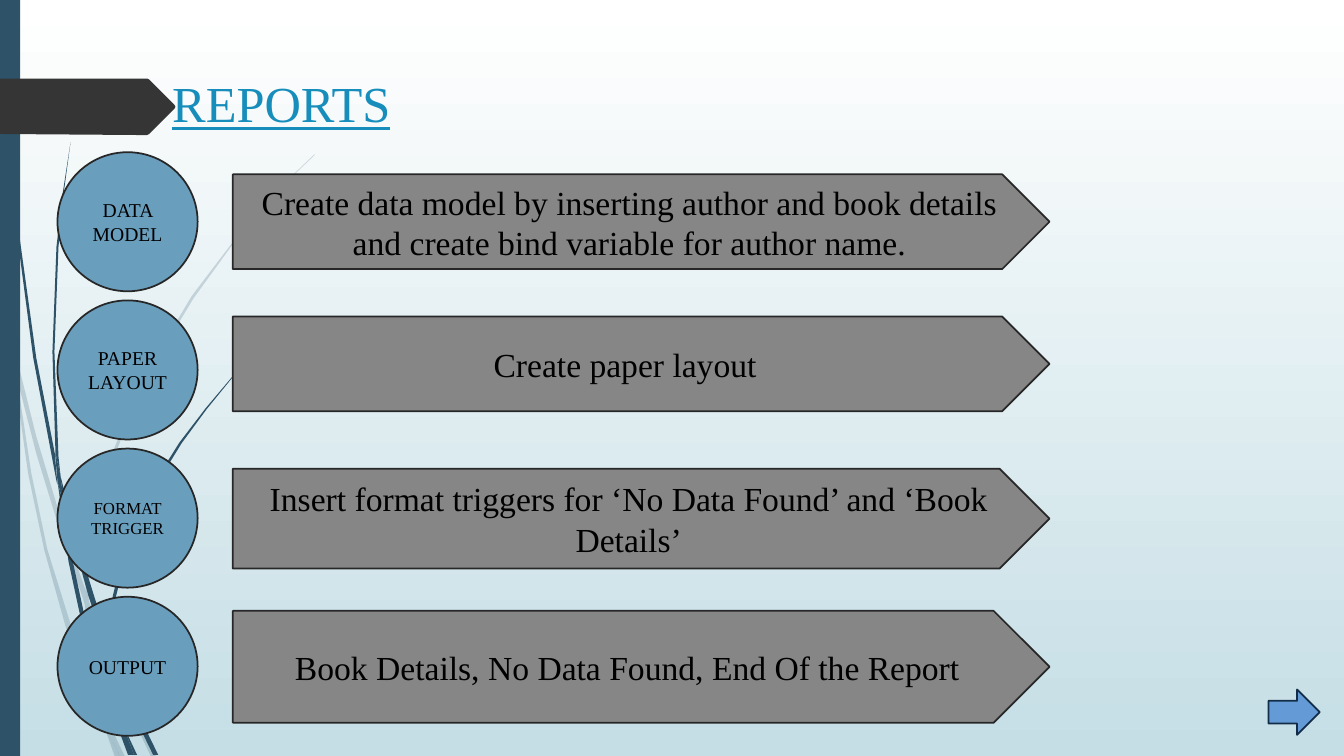
from dataclasses import dataclass
from typing import NamedTuple

from lxml import etree
from pptx import Presentation
from pptx import util as u
from pptx.dml.color import RGBColor
from pptx.enum import shapes, text
from pptx.oxml.ns import qn

PX = 9144  # EMU in one px, 100 px to the inch


@dataclass(frozen=True)
class Theme:
    font: str = "Times New Roman"
    sky_top: str = "FFFFFF"
    sky_bottom: str = "C5DEE5"
    navy: str = "2E5369"
    tag: str = "353535"
    title: str = "178DBB"
    circle: str = "699EBD"
    banner: str = "868686"
    outline: str = "272727"
    next_fill: str = "649AD6"
    next_line: str = "132C48"
    ink: str = "000000"
    title_pt: int = 36
    banner_pt: int = 24
    label_pt: int = 14
    small_label_pt: int = 12
    line_pt: float = 1.25


class Box(NamedTuple):
    x: int
    y: int
    w: int
    h: int


class Step(NamedTuple):
    label: str
    label_pt: int
    detail: str
    top: int
    height: int


Outline = list[tuple[int, int]]

THEME = Theme()
CIRCLE = Box(57, 151, 139, 138)
CIRCLE_PITCH = 147
BANNER_X, BANNER_W = 231, 810

STEPS = [
    Step("DATA MODEL", THEME.label_pt,
         "Create data model by inserting author and book details "
         "and create bind variable for author name.", 173, 94),
    Step("PAPER LAYOUT", THEME.label_pt, "Create paper layout ", 314, 94),
    Step("FORMAT TRIGGER", THEME.small_label_pt,
         "Insert format triggers for ‘No Data Found’ and ‘Book Details’", 465, 99),
    Step("OUTPUT", THEME.label_pt,
         "Book Details, No Data Found, End Of the Report", 606, 111),
]

TAG: Outline = [(0, 78), (146, 78), (148, 79), (173, 104), (174, 106),
                (173, 108), (148, 133), (146, 134), (136, 134), (0, 133)]

FAINT_STRANDS: list[Outline] = [
    [(11, 350), (9, 322), (0, 282), (0, 299), (10, 344)],
    [(58, 522), (84, 599), (85, 586), (62, 520), (36, 433), (14, 345),
     (17, 376), (36, 450)],
    [(92, 607), (88, 596), (88, 610), (123, 694), (150, 751), (155, 751),
     (127, 692)],
    [(119, 751), (124, 751), (105, 711)],
    [(93, 683), (70, 619), (47, 545), (31, 469), (17, 376), (11, 350),
     (28, 470), (44, 546), (65, 621), (92, 693), (101, 714), (99, 707)],
    [(84, 599), (87, 646), (93, 683), (96, 692), (105, 711), (103, 706),
     (91, 646), (88, 610), (88, 608)],
    [(88, 584), (92, 522), (110, 462), (132, 405), (160, 349), (192, 296),
     (229, 245), (268, 198), (290, 175), (312, 154), (312, 153), (289, 175),
     (268, 197), (228, 244), (190, 294), (158, 348), (130, 403), (107, 461),
     (89, 522), (85, 584), (85, 586), (88, 596)],
    [(101, 714), (114, 751), (119, 751)],
    [(88, 608), (88, 610), (88, 596), (85, 586), (84, 599)],
    [(96, 692), (93, 683), (99, 707), (101, 714), (119, 751), (105, 711)],
]

DARK_STRANDS: list[Outline] = [
    [(7, 110), (17, 233), (33, 355), (56, 477), (57, 481), (55, 457),
     (55, 453), (36, 355), (19, 232), (8, 109), (5, 48), (4, 0), (3, 0),
     (4, 48)],
    [(88, 592), (106, 645), (106, 631), (93, 590), (75, 532), (60, 472),
     (64, 505)],
    [(113, 649), (110, 641), (111, 656), (132, 708), (152, 749), (157, 749),
     (136, 706)],
    [(110, 691), (98, 657), (83, 607), (72, 556), (64, 505), (57, 477),
     (68, 557), (79, 608), (93, 659), (111, 708), (117, 722), (116, 717)],
    [(60, 472), (58, 453), (54, 349), (58, 245), (63, 193), (70, 141),
     (62, 193), (56, 245), (52, 349), (55, 449)],
    [(133, 749), (136, 749), (122, 719)],
    [(57, 477), (64, 505), (60, 472), (55, 449), (55, 453)],
    [(111, 633), (115, 592), (125, 552), (140, 513), (158, 476), (180, 440),
     (205, 406), (231, 374), (261, 344), (260, 344), (231, 373), (204, 405),
     (178, 439), (156, 474), (137, 511), (122, 551), (112, 591), (106, 631),
     (110, 641)],
    [(117, 722), (127, 749), (131, 749)],
    [(106, 645), (110, 691), (116, 706), (122, 719), (121, 716), (114, 686),
     (111, 656), (109, 651)],
    [(106, 645), (109, 651), (111, 656), (110, 641), (106, 631)],
    [(116, 706), (110, 691), (116, 717), (117, 722), (130, 749), (133, 749),
     (122, 719)],
]


def rgb(code: str) -> RGBColor:
    return RGBColor.from_string(code)


def paint(sp, fill: str, line: str | None = None, opacity: int = 100) -> None:
    sp.shadow.inherit = False
    sp.fill.solid()
    sp.fill.fore_color.rgb = rgb(fill)
    if opacity < 100:
        color = sp.fill._xPr.find(f".//{qn('a:srgbClr')}")
        etree.SubElement(color, qn("a:alpha"), val=str(opacity * 1000))
    if line:
        sp.line.color.rgb = rgb(line)
        sp.line.width = u.Pt(THEME.line_pt)
    else:
        sp.line.fill.background()


def write(sp, words: str, size: int, color: str, underline: bool = False):
    tf = sp.text_frame
    tf.word_wrap = True
    p = tf.paragraphs[0]
    r = p.add_run()
    r.text = words
    for font in (p.font, r.font):
        font.name, font.size = THEME.font, u.Pt(size)
        font.color.rgb = rgb(color)
        font.underline = underline
    return tf


def add_preset(s, kind, box: Box, fill: str, line: str | None = None):
    sp = s.shapes.add_shape(kind, *(n * PX for n in box))
    paint(sp, fill, line)
    return sp


def add_label(sp, words: str, size: int, inset: int) -> None:
    tf = write(sp, words, size, THEME.ink)
    tf.margin_left = tf.margin_right = inset * PX
    tf.vertical_anchor = text.MSO_ANCHOR.MIDDLE
    tf.paragraphs[0].alignment = text.PP_ALIGN.CENTER


def add_outline(parent, points: Outline, fill: str, opacity: int = 100) -> None:
    builder = parent.build_freeform(*points[0], scale=PX)
    builder.add_line_segments(points[1:], close=True)
    paint(builder.convert_to_shape(), fill, opacity=opacity)


def add_backdrop(s) -> None:
    sky = s.background.fill
    sky.gradient()
    sky.gradient_angle = 270
    for stop, color in zip(sky.gradient_stops, (THEME.sky_top, THEME.sky_bottom)):
        stop.color.rgb = rgb(color)
    for strands, opacity in ((FAINT_STRANDS, 20), (DARK_STRANDS, 100)):
        group = s.shapes.add_group_shape()
        for points in strands:
            add_outline(group.shapes, points, THEME.navy, opacity)
    add_preset(s, shapes.MSO_SHAPE.RECTANGLE, Box(0, 0, 20, 750), THEME.navy)
    add_outline(s.shapes, TAG, THEME.tag)


def main() -> None:
    prs = Presentation()
    prs.slide_width, prs.slide_height = u.Inches(13.33), u.Inches(7.5)
    s = prs.slides.add_slide(prs.slide_layouts[6])
    add_backdrop(s)

    title = s.shapes.add_textbox(*(n * PX for n in Box(161, 67, 975, 140)))
    write(title, "REPORTS", THEME.title_pt, THEME.title, underline=True)

    for i, step in enumerate(STEPS):
        spot = CIRCLE._replace(y=CIRCLE.y + i * CIRCLE_PITCH)
        circle = add_preset(s, shapes.MSO_SHAPE.OVAL, spot, THEME.circle, THEME.outline)
        add_label(circle, step.label, step.label_pt, inset=5)
        banner = add_preset(s, shapes.MSO_SHAPE.PENTAGON,
                            Box(BANNER_X, step.top, BANNER_W, step.height),
                            THEME.banner, THEME.outline)
        add_label(banner, step.detail, THEME.banner_pt, inset=10)

    add_preset(s, shapes.MSO_SHAPE.RIGHT_ARROW, Box(1258, 684, 51, 45),
               THEME.next_fill, THEME.next_line)
    prs.save("out.pptx")


if __name__ == "__main__":
    main()
